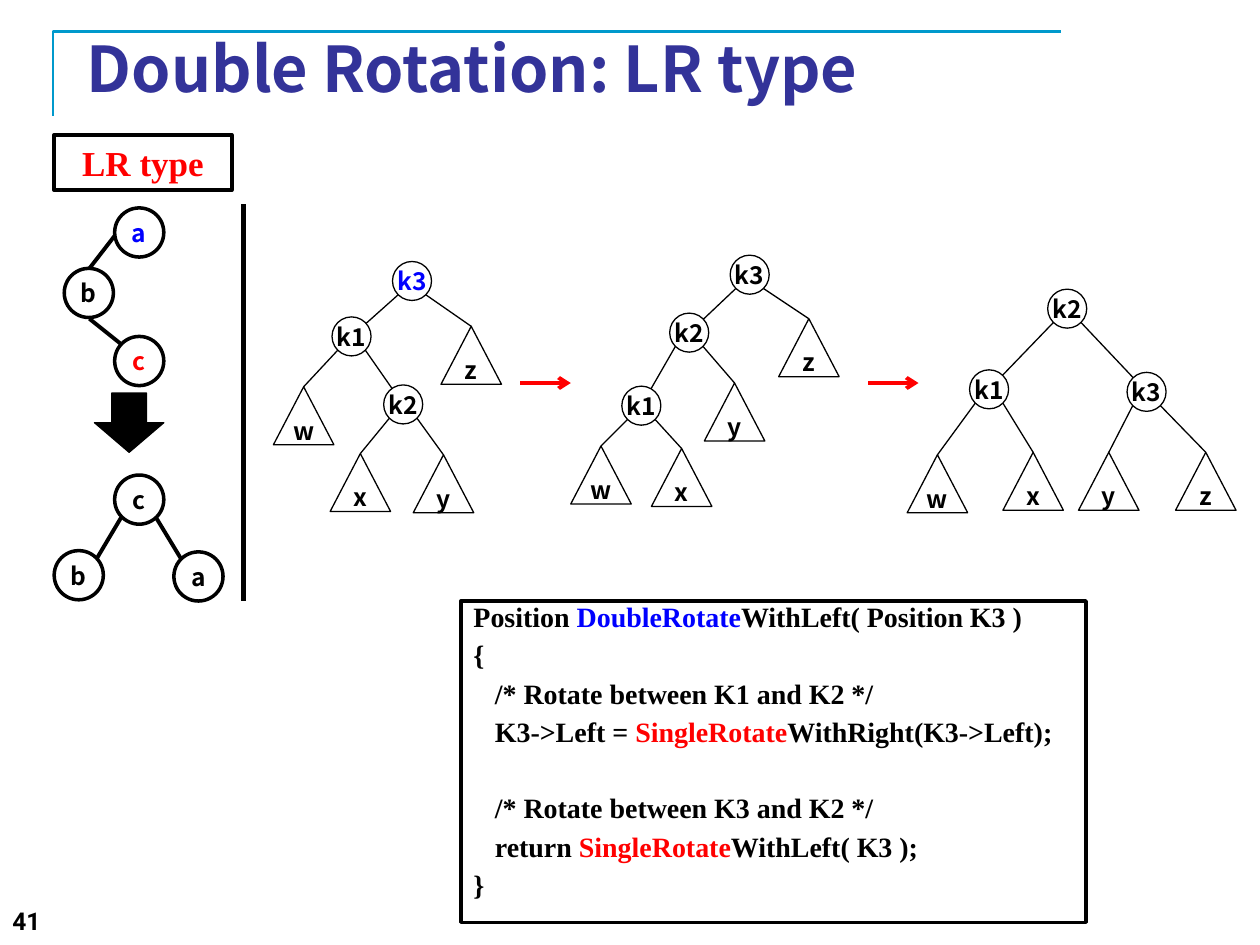
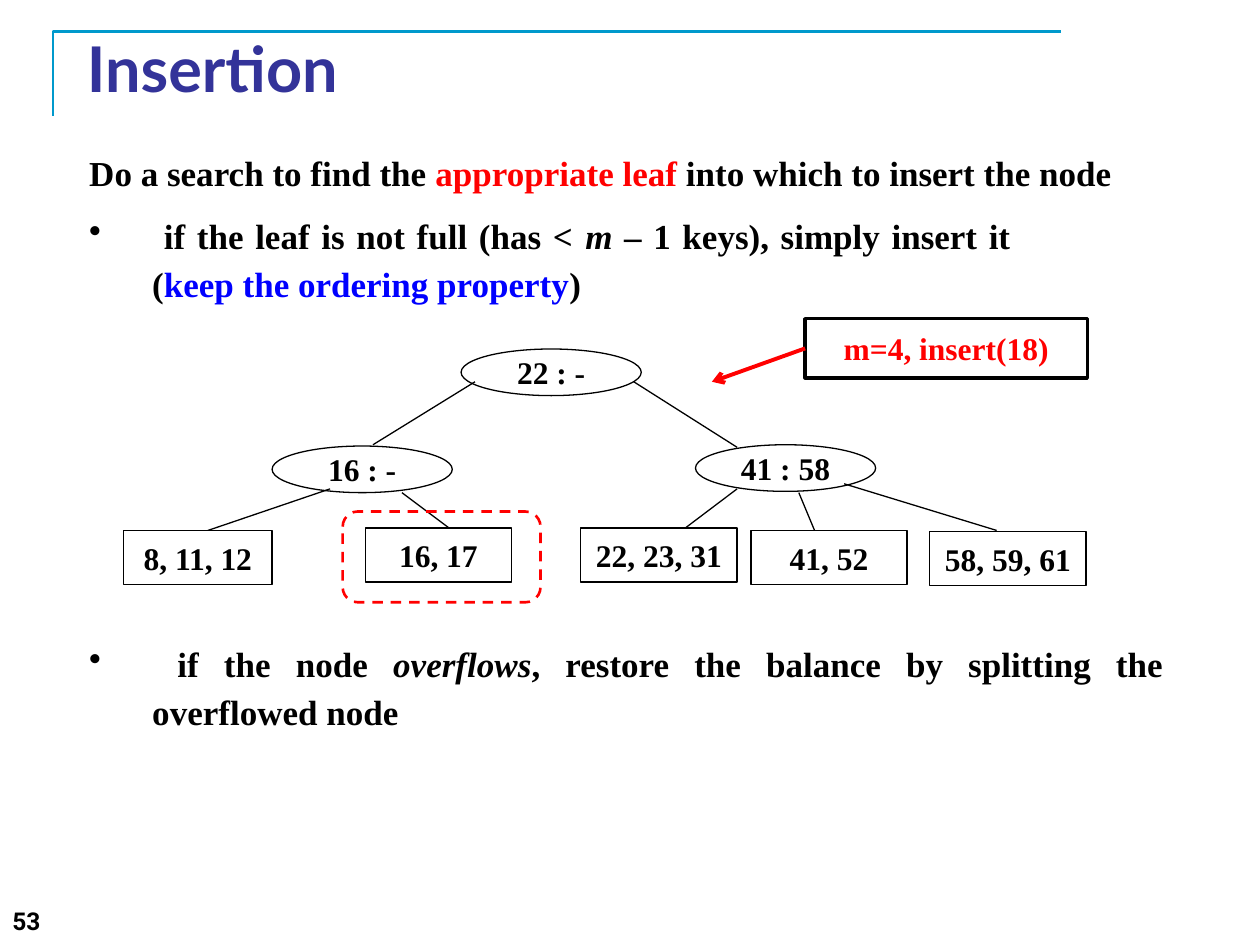
from math import hypot

from lxml.etree import SubElement
from pptx import Presentation
from pptx.dml.color import RGBColor
from pptx.enum.dml import MSO_LINE_DASH_STYLE as Dash
from pptx.enum.shapes import MSO_CONNECTOR as Connector, MSO_SHAPE as Shape
from pptx.enum.text import MSO_ANCHOR as Anchor, MSO_AUTO_SIZE as AutoSize, PP_ALIGN as Align
from pptx.oxml.ns import qn
from pptx.util import Inches, Pt

BLACK, WHITE, RED, BLUE = "000000", "FFFFFF", "FF0000", "0000FF"
TITLE_COLOR, BAND_COLOR = "333399", "0099CC"
SERIF, SANS, NUMBER_FONT = "Times New Roman", "Noto Sans CJK KR", "Roboto"
THIN, THICK = 0.75, 2.25
NODE_RADIUS, NODE_CORNER = 0.155, 0.11
TRIANGLE_WIDTH, TRIANGLE_HEIGHT = 0.48, 0.46
RING_SIZE = 0.39

ROTATION_TREES = [
    (2.17, 2.07, {
        "k3": (1.1, 0.16, None), "k1": (0.62, 0.6, "k3"), "z": (1.57, 0.52, "k3"),
        "w": (0.24, 1.0, "k1"), "k2": (1.03, 1.14, "k1"),
        "x": (0.69, 1.53, "k2"), "y": (1.35, 1.54, "k2")}, BLUE),
    (4.53, 2.02, {
        "k3": (1.42, 0.16, None), "k2": (0.94, 0.62, "k3"), "z": (1.89, 0.51, "k3"),
        "k1": (0.56, 1.2, "k2"), "y": (1.3, 1.02, "k2"),
        "w": (0.24, 1.52, "k1"), "x": (0.88, 1.54, "k1")}, BLACK),
    (7.2, 2.29, {
        "k2": (1.27, 0.16, None), "k1": (0.65, 0.8, "k2"), "k3": (1.9, 0.82, "k2"),
        "w": (0.24, 1.32, "k1"), "x": (1.0, 1.3, "k1"),
        "y": (1.6, 1.3, "k3"), "z": (2.37, 1.3, "k3")}, BLACK),
]

CODE_LINES = [
    (0, 0, [("Position ",), ("DoubleRotate", BLUE), ("WithLeft( Position K3 )",)]),
    (0, 7.6, [("{",)]),
    (0.17, 7.6, [("/* Rotate between K1 and K2 */",)]),
    (0.17, 7.6, [("K3->Left = ",), ("SingleRotate", RED), ("WithRight(K3->Left);",)]),
    (0.17, 29, [("/* Rotate between K3 and K2 */",)]),
    (0.17, 7.6, [("return ",), ("SingleRotate", RED), ("WithLeft( K3 );",)]),
    (0, 7.6, [("}",)]),
]

INSERTION_STEPS = [
    (1.1, 8.72, False, [("Do a search to find the ",), ("appropriate leaf", RED),
                        (" into which to insert the node",)]),
    (1.6, 7.51, True, [(" if the leaf is not full (has < ",), ("m", BLACK, True),
                       (" – 1 keys), simply insert it (",),
                       ("keep the ordering property", BLUE), (")",)]),
    (5.0, 8.72, True, [(" if the node ",), ("overflows", BLACK, True),
                       (", restore the balance by splitting the overflowed node",)]),
]


def color(value):
    return RGBColor.from_string(value)


def set_font(font, name, size, value=BLACK):
    font.name, font.size, font.bold = name, Pt(size), True
    font.color.rgb = color(value)


def write_runs(paragraph, pieces, size):
    set_font(paragraph.font, SERIF, size)
    for text, value, italic in ((*piece, BLACK, False)[:3] if len(piece) == 1
                                else (*piece, False)[:3] for piece in pieces):
        run = paragraph.add_run()
        run.text = text
        run.font.color.rgb = color(value)
        if italic:
            run.font.italic = True


def add_box(slide, kind, left, top, width, height, fill=WHITE, line=BLACK, weight=THIN):
    shape = slide.shapes.add_shape(
        kind, Inches(left), Inches(top), Inches(width), Inches(height))
    shape.shadow.inherit = False
    if fill:
        shape.fill.solid()
        shape.fill.fore_color.rgb = color(fill)
    else:
        shape.fill.background()
    shape.line.color.rgb = color(line)
    shape.line.width = Pt(weight)
    return shape


def add_label(shape, text, font, size, value=BLACK):
    frame = shape.text_frame
    frame.word_wrap = False
    frame.vertical_anchor = Anchor.MIDDLE
    frame.margin_left = frame.margin_right = frame.margin_top = frame.margin_bottom = 0
    paragraph = frame.paragraphs[0]
    paragraph.text = text
    paragraph.alignment = Align.CENTER
    set_font(paragraph.font, font, size, value)


def add_line(slide, x1, y1, x2, y2, weight=THIN, value=BLACK, arrow=False):
    line = slide.shapes.add_connector(
        Connector.STRAIGHT, Inches(x1), Inches(y1), Inches(x2), Inches(y2))
    line.line.color.rgb = color(value)
    line.line.width = Pt(weight)
    properties = line._element.spPr
    if arrow:
        SubElement(properties.find(qn("a:ln")), qn("a:tailEnd"), type="arrow")
    SubElement(properties, qn("a:effectLst"))
    return line


def add_text_box(slide, left, top, width, height):
    frame = slide.shapes.add_textbox(
        Inches(left), Inches(top), Inches(width), Inches(height)).text_frame
    frame.word_wrap = True
    return frame


def add_titled_slide(presentation, title, title_font, number):
    slide = presentation.slides.add_slide(presentation.slide_layouts[5])
    builder = slide.shapes.build_freeform(Inches(0.42), Inches(0.92))
    builder.add_line_segments(
        [(Inches(0.42), Inches(0.25)), (Inches(8.42), Inches(0.25))], close=False)
    band = builder.convert_to_shape()
    band.shadow.inherit = False
    band.fill.background()
    band.line.color.rgb = color(BAND_COLOR)
    band.line.width = Pt(1.5)

    heading = slide.shapes.title
    heading.left, heading.top = Inches(0.59), Inches(0.3)
    heading.width, heading.height = Inches(8.5), Inches(0.47)
    frame = heading.text_frame
    frame.text = title
    frame.auto_size = AutoSize.NONE
    frame.vertical_anchor = Anchor.MIDDLE
    frame.paragraphs[0].alignment = Align.LEFT
    set_font(frame.paragraphs[0].font, title_font, 36, TITLE_COLOR)

    footer = add_text_box(slide, 0, 7.14, 3.12, 0.36).paragraphs[0]
    footer.text = number
    set_font(footer.font, NUMBER_FONT, 14)
    return slide


def add_type_panel(slide, left, top):
    heading = add_box(slide, Shape.RECTANGLE, left, top, 1.41, 0.44, weight=2)
    add_label(heading, "LR type", SERIF, 20, RED)
    links = [(0.52, 0.75, 0.28, 1.06), (0.28, 1.46, 0.53, 1.66),
             (0.53, 3.04, 0.34, 3.36), (0.81, 3.04, 1.01, 3.37)]
    for x1, y1, x2, y2 in links:
        add_line(slide, left + x1, top + y1, left + x2, top + y2, THICK)
    rings = [("a", 0.48, 0.58, BLUE), ("b", 0.08, 1.06, BLACK), ("c", 0.48, 1.6, RED),
             ("c", 0.48, 2.7, BLACK), ("b", 0, 3.3, BLACK), ("a", 0.95, 3.31, BLACK)]
    for text, x, y, value in rings:
        ring = add_box(slide, Shape.OVAL, left + x, top + y, RING_SIZE, RING_SIZE, weight=2)
        add_label(ring, text, SANS, 14, value)
    add_box(slide, Shape.DOWN_ARROW, left + 0.32, top + 2.05, 0.55, 0.47, fill=BLACK)
    add_line(slide, left + 1.5, top + 0.55, left + 1.5, top + 3.7, 3)


def add_rotation_tree(slide, left, top, nodes, root_color):
    for name, (x, y, parent) in nodes.items():
        if parent is None:
            continue
        parent_x, parent_y, _ = nodes[parent]
        start_x = parent_x + (NODE_CORNER if x > parent_x else -NODE_CORNER)
        start_y = parent_y + NODE_CORNER
        reach = 1
        if name.startswith("k"):
            reach -= NODE_RADIUS / hypot(x - start_x, y - start_y)
        add_line(slide, left + start_x, top + start_y,
                 left + start_x + reach * (x - start_x),
                 top + start_y + reach * (y - start_y))
    for name, (x, y, parent) in nodes.items():
        if name.startswith("k"):
            node = add_box(slide, Shape.OVAL, left + x - NODE_RADIUS, top + y - NODE_RADIUS,
                           2 * NODE_RADIUS, 2 * NODE_RADIUS)
        else:
            node = add_box(slide, Shape.ISOSCELES_TRIANGLE, left + x - TRIANGLE_WIDTH / 2,
                           top + y, TRIANGLE_WIDTH, TRIANGLE_HEIGHT)
        add_label(node, name, SANS, 14, BLACK if parent else root_color)


def add_code_box(slide, left, top, width, height):
    frame = add_box(slide, Shape.RECTANGLE, left, top, width, height, weight=2).text_frame
    frame.word_wrap = True
    frame.vertical_anchor = Anchor.TOP
    for index, (indent, gap, pieces) in enumerate(CODE_LINES):
        paragraph = frame.add_paragraph() if index else frame.paragraphs[0]
        paragraph.alignment = Align.LEFT
        paragraph.line_spacing = 0.75
        paragraph.space_before = Pt(gap)
        paragraph._p.get_or_add_pPr().set("marL", str(Inches(indent)))
        write_runs(paragraph, pieces, 16)


def add_insertion_steps(slide, left):
    for top, width, bulleted, pieces in INSERTION_STEPS:
        height = 0.9 if bulleted else 0.5
        paragraph = add_text_box(slide, left, top, width, height).paragraphs[0]
        paragraph.alignment = Align.JUSTIFY
        paragraph.line_spacing = 1.15
        write_runs(paragraph, pieces, 20)
        if bulleted:
            properties = paragraph._p.get_or_add_pPr()
            properties.set("marL", str(Inches(0.5)))
            properties.set("indent", str(-Inches(0.5)))
            bullet = properties.makeelement(qn("a:buChar"), {"char": "•"})
            properties.find(qn("a:defRPr")).addprevious(bullet)


def add_search_tree(slide, left, top):
    for text, x, y in [("22 : -", 2.68, 0.24), ("16 : -", 1.18, 1.01), ("41 : 58", 4.54, 1.0)]:
        add_label(add_box(slide, Shape.OVAL, left + x, top + y, 1.43, 0.37), text, SERIF, 18)
    links = [(2.79, 0.5, 1.98, 1.0), (4.05, 0.5, 4.87, 1.02), (0.67, 1.68, 1.64, 1.35),
             (2.61, 1.68, 2.21, 1.38), (4.46, 1.66, 4.87, 1.35), (5.51, 1.74, 5.36, 1.38),
             (6.93, 1.68, 5.72, 1.31)]
    for x1, y1, x2, y2 in links:
        add_line(slide, left + x1, top + y1, left + x2, top + y2)
    leaves = [("8, 11, 12", 0, 1.68, 1.18), ("16, 17", 1.92, 1.66, 1.16),
              ("22, 23, 31", 3.63, 1.66, 1.24), ("41, 52", 4.98, 1.68, 1.24),
              ("58, 59, 61", 6.4, 1.69, 1.24)]
    for text, x, y, width in leaves:
        leaf = add_box(slide, Shape.RECTANGLE, left + x, top + y, width, 0.43)
        add_label(leaf, text, SERIF, 18)

    callout = add_box(slide, Shape.RECTANGLE, left + 5.41, top, 2.24, 0.47, weight=2)
    add_label(callout, "m=4, insert(18)", SERIF, 18, RED)
    pointer = add_line(slide, left + 5.41, top + 0.24, left + 4.67, top + 0.5,
                       THICK, RED, arrow=True)
    pointer.begin_connect(callout, 1)
    highlight = add_box(slide, Shape.ROUNDED_RECTANGLE, left + 1.74, top + 1.53, 1.57, 0.72,
                        fill=None, line=RED, weight=1.5)
    highlight.line.dash_style = Dash.DASH


def build_rotation_slide(presentation):
    slide = add_titled_slide(presentation, "Double Rotation: LR type", SANS, "41")
    add_type_panel(slide, 0.43, 1.07)
    for left, top, nodes, root_color in ROTATION_TREES:
        add_rotation_tree(slide, left, top, nodes, root_color)
    for left in (4.13, 6.89):
        add_line(slide, left, 3.04, left + 0.4, 3.04, THICK, RED, arrow=True)
    add_code_box(slide, 3.66, 4.77, 4.96, 2.55)


def build_insertion_slide(presentation):
    slide = add_titled_slide(presentation, "Insertion", "Lato", "53")
    add_insertion_steps(slide, 0.61)
    add_search_tree(slide, 0.98, 2.53)


def main():
    presentation = Presentation()
    presentation.slide_width, presentation.slide_height = Inches(10), Inches(7.5)
    build_rotation_slide(presentation)
    build_insertion_slide(presentation)
    presentation.save("out.pptx")


if __name__ == "__main__":
    main()
